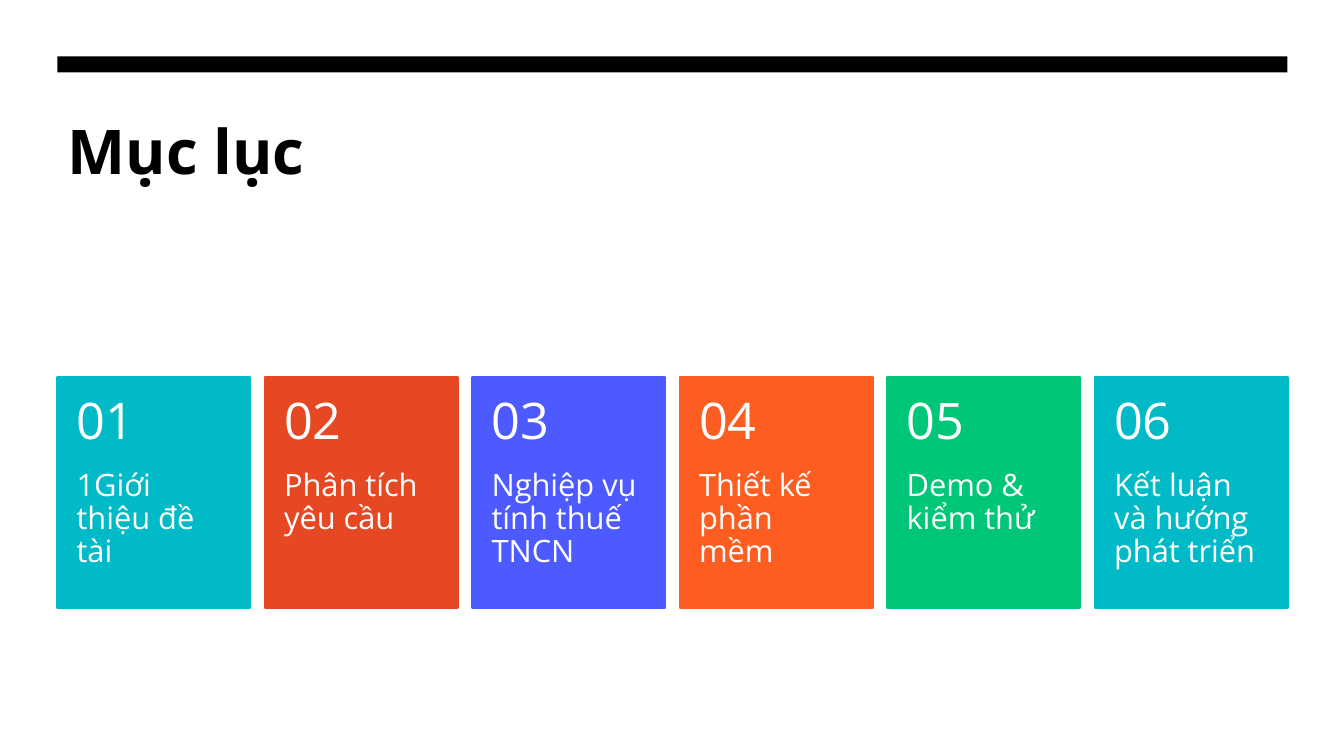
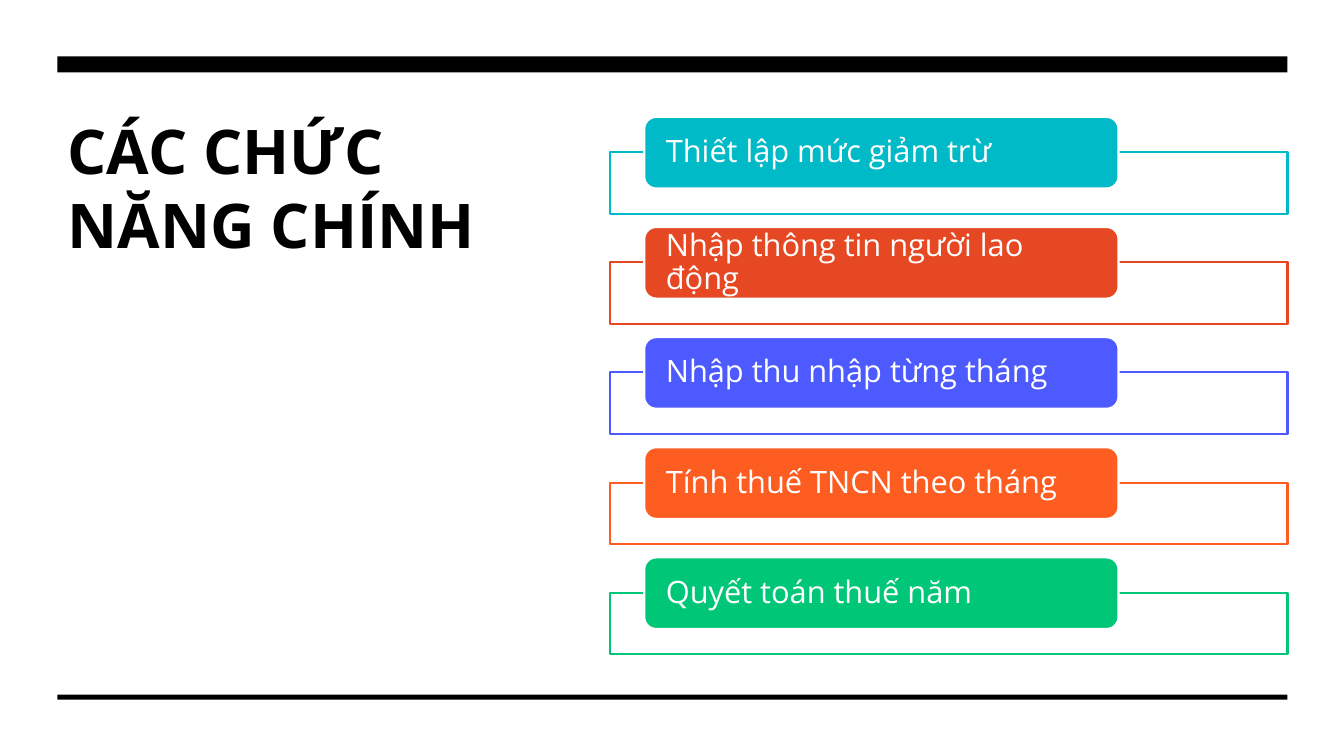
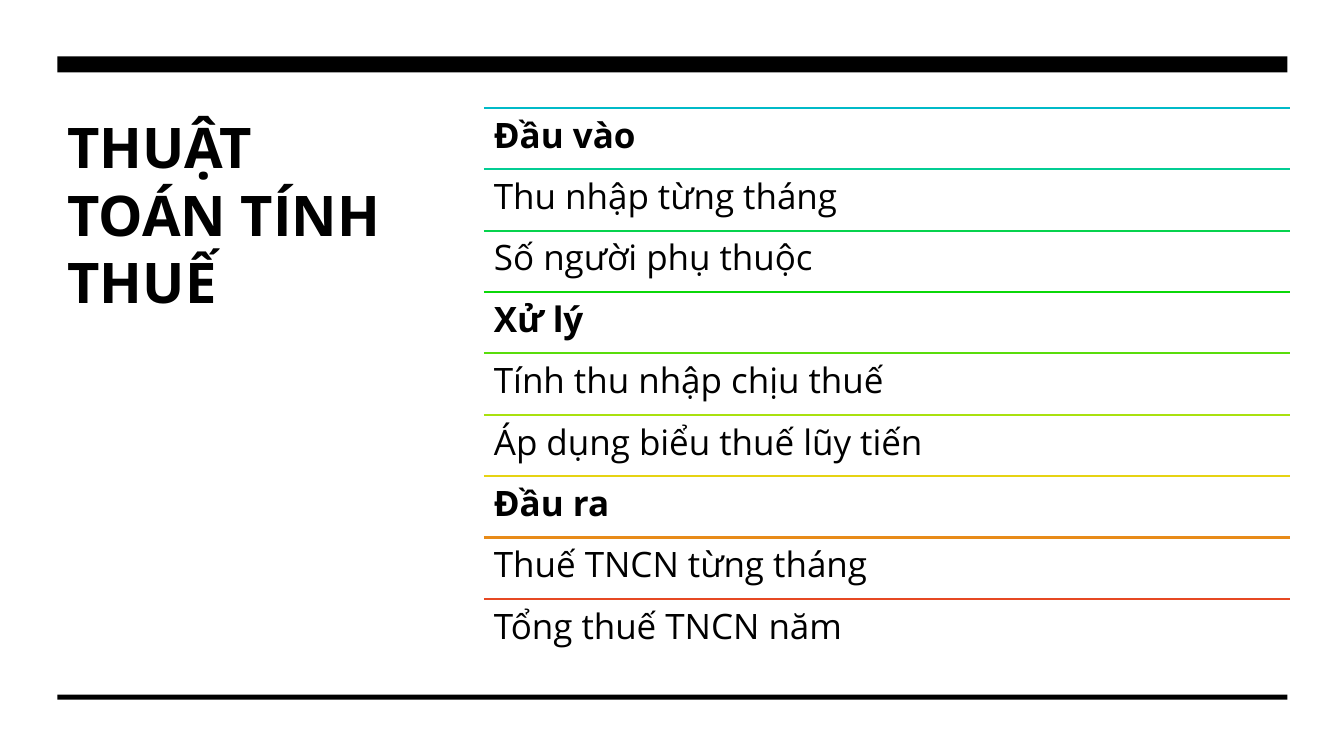
"""Build three slides on a personal income tax application."""
from pptx import Presentation
from pptx.dml.color import RGBColor
from pptx.enum.shapes import MSO_CONNECTOR as Connector, MSO_SHAPE as Shape
from pptx.enum.text import MSO_ANCHOR as Anchor, MSO_AUTO_SIZE as AutoSize, PP_ALIGN as Align
from pptx.oxml.ns import qn
from pptx.util import Inches, Pt
from lxml import etree

FONT = "Open Sans"
BLACK = RGBColor(0x00, 0x00, 0x00)
WHITE = RGBColor(0xFF, 0xFF, 0xFF)
TEAL = RGBColor(0x00, 0xBA, 0xC8)
RED = RGBColor(0xE6, 0x48, 0x23)
BLUE = RGBColor(0x4D, 0x5A, 0xFF)
ORANGE = RGBColor(0xFE, 0x5D, 0x21)
GREEN = RGBColor(0x00, 0xC7, 0x77)
ACCENTS = [TEAL, RED, BLUE, ORANGE, GREEN]
RAINBOW = [TEAL] + [RGBColor.from_string(code) for code in (
    "03CD93", "06D34D", "0BD809", "59DD0C", "A9E10F", "E6D313", "E88B18")] + [RED]

MARGIN = 0.57
CONTENT_WIDTH = 12.2
TITLE_TOP = 1.07

CONTENTS = ["1Giới thiệu đề tài", "Phân tích yêu cầu", "Nghiệp vụ tính thuế TNCN",
            "Thiết kế phần mềm", "Demo & kiểm thử", "Kết luận và hướng phát triển"]
FUNCTIONS = ["Thiết lập mức giảm trừ", "Nhập thông tin người lao động",
             "Nhập thu nhập từng tháng", "Tính thuế TNCN theo tháng",
             "Quyết toán thuế năm"]
ALGORITHM = {
    "Đầu vào": ["Thu nhập từng tháng", "Số người phụ thuộc"],
    "Xử lý": ["Tính thu nhập chịu thuế", "Áp dụng biểu thuế lũy tiến"],
    "Đầu ra": ["Thuế TNCN từng tháng", "Tổng thuế TNCN năm"],
}


def write_text(shape, text, size, color, bold=False, anchor=Anchor.TOP,
               insets=(0.1, 0.05, 0.1, 0.05), spacing=0.9):
    """Fill a shape with one left-aligned paragraph."""
    frame = shape.text_frame
    frame.word_wrap = True
    frame.auto_size = AutoSize.NONE
    frame.vertical_anchor = anchor
    (frame.margin_left, frame.margin_top,
     frame.margin_right, frame.margin_bottom) = map(Inches, insets)
    paragraph = frame.paragraphs[0]
    paragraph.text = text
    paragraph.alignment = Align.LEFT
    paragraph.line_spacing = spacing
    paragraph.font.name = FONT
    paragraph.font.size = Pt(size)
    paragraph.font.bold = bold
    paragraph.font.color.rgb = color


def add_text(slide, box, text, size, color, **style):
    """Add a text box at the given left, top, width and height."""
    write_text(slide.shapes.add_textbox(*map(Inches, box)), text, size, color, **style)


def add_block(slide, box, fill, line=None, kind=Shape.RECTANGLE):
    """Add a filled shape, outlined only when a line colour is given."""
    shape = slide.shapes.add_shape(kind, *map(Inches, box))
    shape.shadow.inherit = False
    shape.fill.solid()
    shape.fill.fore_color.rgb = fill
    if line is None:
        shape.line.fill.background()
    else:
        shape.line.color.rgb = line
        shape.line.width = Pt(1.5)
    return shape


def add_rule(slide, left, top, width, color):
    """Add a thin horizontal line."""
    rule = slide.shapes.add_connector(
        Connector.STRAIGHT, Inches(left), Inches(top), Inches(left + width), Inches(top))
    rule.line.color.rgb = color
    rule.line.width = Pt(1.5)
    etree.SubElement(rule._element.spPr, qn("a:effectLst"))


def add_base_slide(presentation, title, width, height, size=44, bottom_band=True):
    """Add a slide with its title and black bands."""
    slide = presentation.slides.add_slide(presentation.slide_layouts[5])
    shape = slide.shapes.title
    shape.left, shape.top, shape.width, shape.height = map(
        Inches, (MARGIN, TITLE_TOP, width, height))
    write_text(shape, title, size, BLACK, bold=True, spacing=1.0)
    add_block(slide, (MARGIN, 0.56, CONTENT_WIDTH, 0.16), BLACK)
    if bottom_band:
        add_block(slide, (MARGIN, 6.89, CONTENT_WIDTH, 0.05), BLACK)
    return slide


def add_cards(slide, left, top, width, height, labels):
    """Spread numbered cards evenly across a box."""
    card_width, number_height = 1.91, 0.92
    pitch = (width - card_width) / (len(labels) - 1)
    for index, label in enumerate(labels):
        x = left + index * pitch
        color = ACCENTS[index % len(ACCENTS)]
        add_block(slide, (x, top, card_width, height), color, color)
        add_text(slide, (x, top + number_height, card_width, height - number_height),
                 label, 22, WHITE, insets=(0.19, 0, 0.19, 0.36))
        add_text(slide, (x, top, card_width, number_height), f"{index + 1:02}", 36, WHITE,
                 anchor=Anchor.MIDDLE, insets=(0.19, 0.18, 0.19, 0.18))


def add_tabbed_frames(slide, left, top, width, height, labels):
    """Stack outlined frames, each with a coloured tab over its top edge."""
    tab_height, frame_offset, frame_height = 0.71, 0.35, 0.61
    pitch = (height - frame_offset - frame_height) / (len(labels) - 1)
    for index, (label, color) in enumerate(zip(labels, ACCENTS)):
        y = top + index * pitch
        add_block(slide, (left, y + frame_offset, width, frame_height), WHITE, color)
        tab = add_block(slide, (left + 0.34, y, width * 0.7, tab_height), color, WHITE,
                        Shape.ROUNDED_RECTANGLE)
        write_text(tab, label, 22, WHITE, anchor=Anchor.MIDDLE, insets=(0.18, 0, 0.18, 0))


def add_ruled_list(slide, left, top, width, height, groups):
    """List headings and their items in equal rows under coloured rules."""
    rows = [(text, text == heading) for heading, items in groups.items()
            for text in (heading, *items)]
    row_height = height / len(rows)
    for index, ((text, bold), color) in enumerate(zip(rows, RAINBOW)):
        y = top + index * row_height
        add_rule(slide, left, y, width, color)
        add_text(slide, (left, y, width, row_height), text, 25, BLACK, bold=bold,
                 insets=(0.1, 0.1, 0.1, 0.1))


def main():
    """Build and save the presentation."""
    presentation = Presentation()
    presentation.slide_width = Inches(13.33)
    presentation.slide_height = Inches(7.5)

    slide = add_base_slide(presentation, "Mục lục", CONTENT_WIDTH, 1.6, bottom_band=False)
    add_cards(slide, MARGIN, 3.74, CONTENT_WIDTH, 2.29, CONTENTS)

    slide = add_base_slide(presentation, "CÁC CHỨC NĂNG CHÍNH", 4.69, 3.68)
    add_tabbed_frames(slide, 6.05, 1.16, 6.72, 5.33, FUNCTIONS)

    slide = add_base_slide(presentation, "THUẬT TOÁN TÍNH THUẾ", 3.45, 4.45, size=40)
    add_ruled_list(slide, 4.8, TITLE_TOP, 7.99, 5.48, ALGORITHM)

    presentation.save("out.pptx")


if __name__ == "__main__":
    main()
